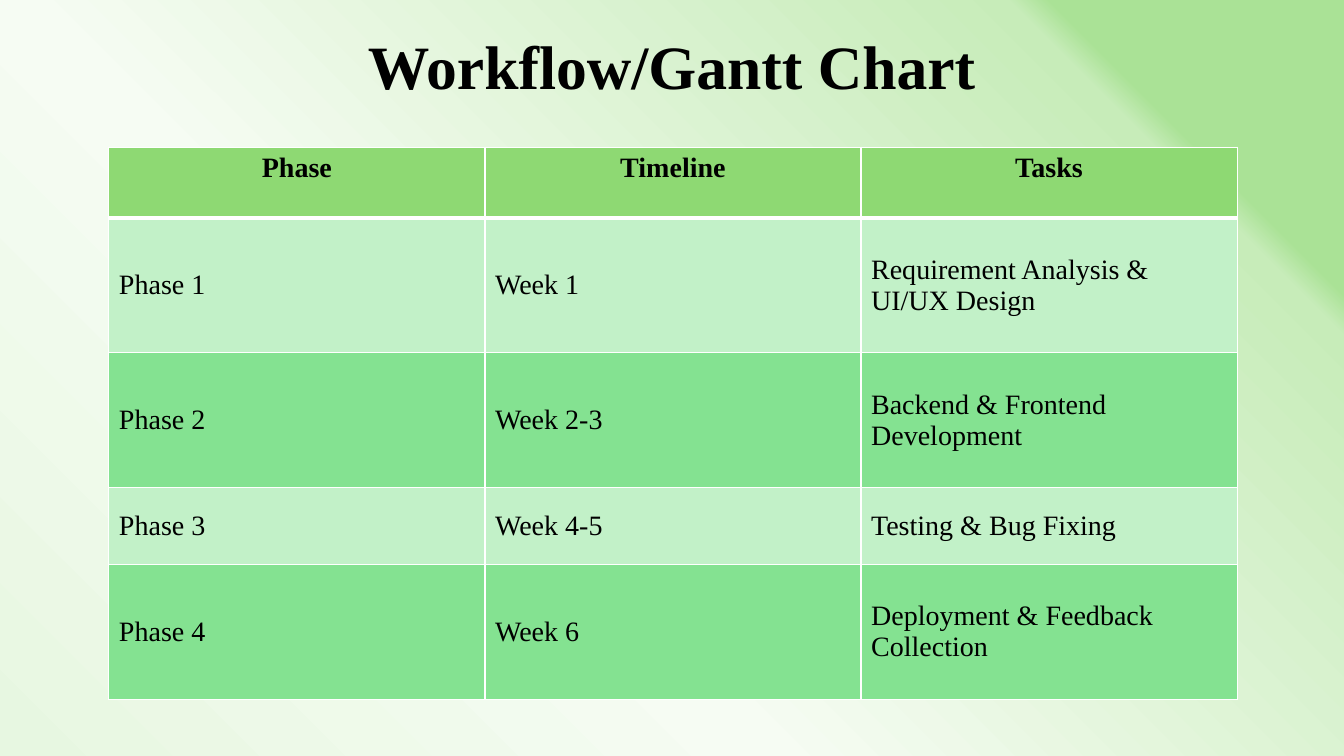
from lxml import etree
from pptx import Presentation
from pptx import util as u
from pptx.dml.color import RGBColor
from pptx.enum import text
from pptx.oxml import parse_xml
from pptx.oxml.ns import qn

NS = "http://schemas.openxmlformats.org/drawingml/2006/main"
ROWS = [
    ("Phase", "Timeline", "Tasks"),
    ("Phase 1", "Week 1", "Requirement Analysis & UI/UX Design"),
    ("Phase 2", "Week 2-3", "Backend & Frontend Development"),
    ("Phase 3", "Week 4-5", "Testing & Bug Fixing"),
    ("Phase 4", "Week 6", "Deployment & Feedback Collection"),
]
HEIGHTS = [0.7, 1.34, 1.34, 0.76, 1.34]
STOPS = [(14, "AAE296", 100), (16, "C7ECB9", 100), (63, "F6FCF3", 100), (100, "E7F7E1", 0)]


def color(code):
    return RGBColor.from_string(code)


def write(frame, words, size=20, bold=False, align="LEFT", anchor="MIDDLE", lead=1.0):
    frame.word_wrap = True
    para = frame.paragraphs[0]
    para.alignment = getattr(text.PP_ALIGN, align)
    para.line_spacing = lead
    run = para.add_run()
    run.text = words
    run.font.name = "Times New Roman"
    run.font.size = u.Pt(size)
    run.font.bold = bold
    run.font.color.rgb = color("000000")
    return getattr(text.MSO_ANCHOR, anchor)


deck = Presentation()
deck.slide_width, deck.slide_height = u.Inches(13.33), u.Inches(7.5)
slide = deck.slides.add_slide(deck.slide_layouts[6])

slide.background.fill.solid()
solid = slide.background._cSld.find(".//" + qn("a:solidFill"))
marks = "".join(
    f'<a:gs pos="{at * 1000}"><a:srgbClr val="{code}">'
    f'<a:alpha val="{alpha * 1000}"/></a:srgbClr></a:gs>'
    for at, code, alpha in STOPS
)
solid.getparent().replace(solid, parse_xml(
    f'<a:gradFill xmlns:a="{NS}" rotWithShape="1"><a:gsLst>{marks}</a:gsLst>'
    '<a:path path="circle"><a:fillToRect l="100000" b="100000"/></a:path>'
    '<a:tileRect t="-100000" r="-100000"/></a:gradFill>'
))

title = slide.shapes.add_textbox(0, 0, deck.slide_width, u.Inches(1.38)).text_frame
title.vertical_anchor = write(
    title, "Workflow/Gantt Chart", size=44, bold=True, align="CENTER", lead=0.9
)

grid = slide.shapes.add_table(
    len(ROWS), 3, u.Inches(1.08), u.Inches(1.46), u.Inches(11.19), u.Inches(sum(HEIGHTS))
).table
for row, (words, height) in enumerate(zip(ROWS, HEIGHTS)):
    grid.rows[row].height = u.Inches(height)
    head = row == 0
    shade = "8ED973" if head else ("84E291", "C2F1C8")[row % 2]
    look = dict(bold=True, align="CENTER", anchor="TOP") if head else {}
    for col, word in enumerate(words):
        cell = grid.cell(row, col)
        cell.vertical_anchor = write(cell.text_frame, word, **look)
        props = cell._tc.get_or_add_tcPr()
        for side in "LRTB":
            thick = (row, side) in ((0, "B"), (1, "T"))
            line = etree.SubElement(props, qn("a:ln" + side), w=str(u.Pt(3 if thick else 1)))
            paint = etree.SubElement(line, qn("a:solidFill"))
            etree.SubElement(paint, qn("a:srgbClr"), val="FFFFFF")
        cell.fill.solid()
        cell.fill.fore_color.rgb = color(shade)

deck.save("out.pptx")
